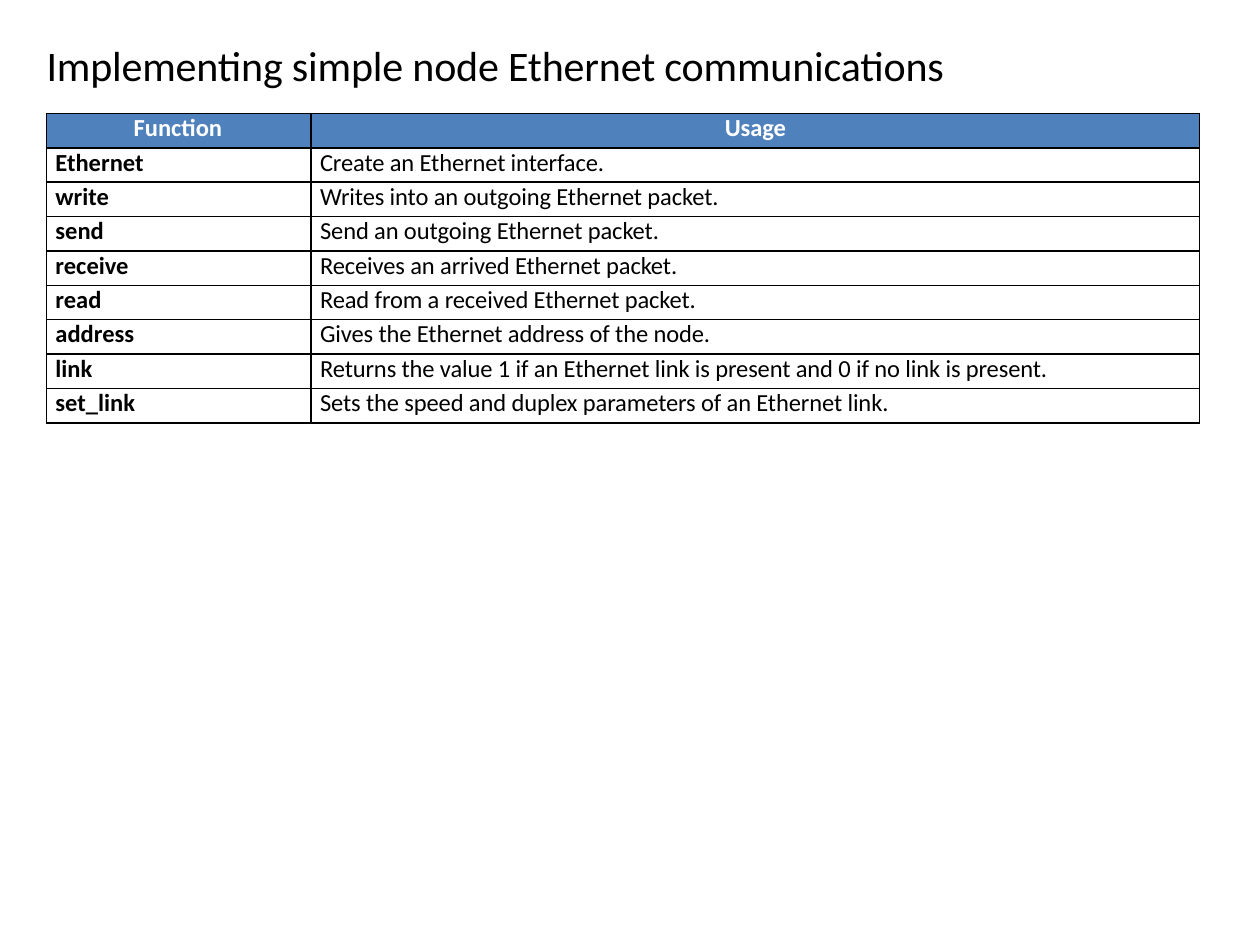
from lxml import etree
from pptx import Presentation
from pptx.dml.color import RGBColor
from pptx.enum import text
from pptx.oxml.ns import qn
from pptx.util import Inches, Pt

COLORS = {"ink": "000000", "header": "4F81BC", "header_text": "FFFFFF"}
FONT = "Calibri"
SLIDE_W, SLIDE_H = 10, 7.5
COLUMN_WIDTHS = (2.1, 7.05)
ROW_HEIGHT = 0.273
INDENT = 0.07
TITLE = "Implementing simple node Ethernet communications"
FUNCTIONS = [
    ("Function", "Usage"),
    ("Ethernet", "Create an Ethernet interface."),
    ("write", "Writes into an outgoing Ethernet packet."),
    ("send", "Send an outgoing Ethernet packet."),
    ("receive", "Receives an arrived Ethernet packet."),
    ("read", "Read from a received Ethernet packet."),
    ("address", "Gives the Ethernet address of the node."),
    ("link", "Returns the value 1 if an Ethernet link is present and 0 if no link is present."),
    ("set_link", "Sets the speed and duplex parameters of an Ethernet link."),
]


def write_line(frame, words, size, color, bold=False, spacing=0, indent=0.0):
    """Fill a text frame with one formatted line."""
    frame.text = words
    line = frame.paragraphs[0]
    line.alignment = text.PP_ALIGN.LEFT
    line._p.get_or_add_pPr().set("marL", str(Inches(indent)))
    font = line.runs[0].font
    font.name, font.size, font.bold = FONT, Pt(size), bold
    font.color.rgb = RGBColor.from_string(COLORS[color])
    line.runs[0]._r.get_or_add_rPr().set("spc", str(spacing))
    return line


def add_borders(cell, width=1):
    """Rule all four sides; border elements come before the cell fill."""
    properties = cell._tc.get_or_add_tcPr()
    for position, side in enumerate(("lnL", "lnR", "lnT", "lnB")):
        border = etree.Element(qn(f"a:{side}"), w=str(Pt(width)))
        fill = etree.SubElement(border, qn("a:solidFill"))
        etree.SubElement(fill, qn("a:srgbClr"), val=COLORS["ink"])
        properties.insert(position, border)


def add_title(slide, left, top, width, height):
    heading = slide.shapes.add_textbox(*map(Inches, (left, top, width, height)))
    frame = heading.text_frame
    frame.word_wrap = True
    frame.margin_left = frame.margin_right = frame.margin_top = frame.margin_bottom = 0
    write_line(frame, TITLE, 24, "ink", spacing=-10, indent=0.01)


def add_function_table(slide, left, top):
    box = (left, top, sum(COLUMN_WIDTHS), ROW_HEIGHT * len(FUNCTIONS))
    table = slide.shapes.add_table(
        len(FUNCTIONS), len(COLUMN_WIDTHS), *map(Inches, box)).table
    table.first_row = table.horz_banding = False
    for column, width in zip(table.columns, COLUMN_WIDTHS):
        column.width = Inches(width)

    for r, entry in enumerate(FUNCTIONS):
        table.rows[r].height = Inches(ROW_HEIGHT)
        for c, words in enumerate(entry):
            cell = table.cell(r, c)
            cell.margin_left = cell.margin_right = cell.margin_top = cell.margin_bottom = 0
            is_header, is_usage = r == 0, c == 1
            line = write_line(
                cell.text_frame, words, 14, "header_text" if is_header else "ink",
                bold=is_header or not is_usage,
                spacing=-8 if is_usage else 0,
                indent=(0.69, 0)[c] if is_header else INDENT)
            if is_header:
                cell.fill.solid()
                cell.fill.fore_color.rgb = RGBColor.from_string(COLORS["header"])
                if is_usage:
                    line.alignment = text.PP_ALIGN.CENTER
            else:
                cell.fill.background()
            add_borders(cell)


def main():
    deck = Presentation()
    deck.slide_width, deck.slide_height = Inches(SLIDE_W), Inches(SLIDE_H)
    slide = deck.slides.add_slide(deck.slide_layouts[6])
    add_title(slide, 0.36, 0.31, 9.28, 0.36)
    add_function_table(slide, 0.37, 0.9)
    deck.save("out.pptx")


if __name__ == "__main__":
    main()
